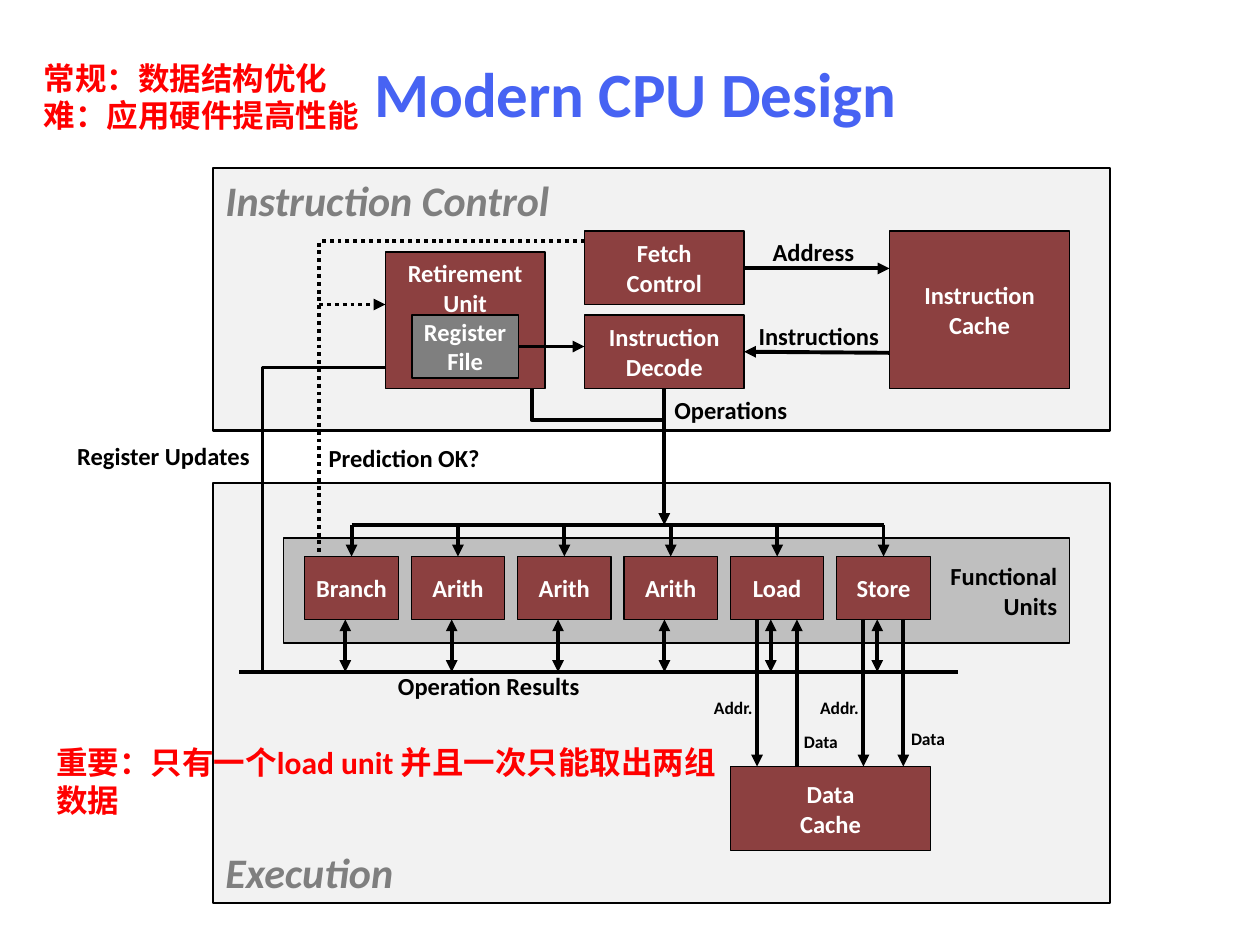
from pptx import Presentation
from pptx.dml.color import RGBColor
from pptx.enum import dml, shapes, text
from pptx.oxml import ns, xmlchemy as xc
from pptx.util import Pt

FONT = "Calibri"
BLACK, WHITE, RED = "000000", "FFFFFF", "FF0000"
BLUE, MAROON, GREY = "4763F3", "8C4040", "7F7F7F"
LEFT, CENTER, RIGHT = text.PP_ALIGN.LEFT, text.PP_ALIGN.CENTER, text.PP_ALIGN.RIGHT
TOP, MIDDLE, BOTTOM = (text.MSO_ANCHOR.TOP, text.MSO_ANCHOR.MIDDLE,
                       text.MSO_ANCHOR.BOTTOM)

# Areas: text, left, top, width, height, fill, line width, anchor, align, size, colour
AREAS = [
    ("Execution", 121.7, 276, 512.6, 240, "F2F2F2", 1.5, BOTTOM, LEFT, 24, GREY),
    ("Functional\nUnits", 162, 307.5, 449.3, 60, "BFBFBF", 0.75, MIDDLE, RIGHT, 14, BLACK),
    ("Instruction Control", 121.7, 96, 512.6, 150, "F2F2F2", 1.5, TOP, LEFT, 24, GREY),
]
# Blocks: text, left, top, width, height, fill, anchor
BLOCKS = [
    ("Instruction\nCache", 508.3, 132, 103, 90, MAROON, MIDDLE),
    ("Data\nCache", 417.6, 438, 114, 48, MAROON, MIDDLE),
    ("Fetch\nControl", 334, 132, 91.2, 42, MAROON, MIDDLE),
    ("Instruction\nDecode", 334, 180, 91.2, 42, MAROON, MIDDLE),
    ("Retirement\nUnit", 220.2, 144, 91.2, 78, MAROON, TOP),
    ("Register\nFile", 235.4, 180, 60.8, 36, GREY, MIDDLE),
]
UNITS = ["Branch", "Arith", "Arith", "Arith", "Load", "Store"]
UNIT_LEFT, UNIT_TOP, UNIT_W, UNIT_H, UNIT_PITCH = 174.2, 318, 53.4, 36, 60.8
DISPATCH_Y, RESULTS_Y, CACHE_Y = 300, 384, 438

# Labels: text, left, top, width, height, align, size
LABELS = [
    ("Address", 434.2, 132, 61.2, 24.5, CENTER, 14),
    ("Instructions", 426.2, 180, 83.5, 24.5, CENTER, 14),
    ("Operations", 378, 222, 79.2, 24.5, CENTER, 14),
    ("Prediction OK?", 180.7, 249.5, 101, 24.5, LEFT, 14),
    ("Operation Results", 220.3, 380, 118.8, 24.5, LEFT, 14),
    ("Register Updates", 36, 248.6, 113.8, 24.5, RIGHT, 14),
    ("Data", 513.4, 412.5, 33.8, 19.4, CENTER, 10),
    ("Data", 452.2, 414, 33.8, 19.4, CENTER, 10),
    ("Addr.", 400.3, 394.5, 37.4, 19.4, CENTER, 10),
    ("Addr.", 461, 394.5, 37.4, 19.4, CENTER, 10),
]
# Remarks: text, left, top, width, height
REMARKS = [
    ("常规：数据结构优化\n难：应用硬件提高性能", 18, 30, 209.5, 50.4),
    ("重要：只有一个load unit 并且一次只能取出两组数据", 25.2, 421, 399, 50.4),
]
# Bent lines: points, line width, dotted
BENT_LINES = [
    ([(334, 138), (182.4, 138), (182.4, 318)], 2.25, True),
    ([(220.2, 210), (150, 210), (150, 384)], 1.5, False),
    ([(379.6, 240), (303.8, 240), (303.8, 222)], 2.25, False),
]


def rgb(hex_colour):
    return RGBColor.from_string(hex_colour)


def write(shape, content, size, colour, align, anchor=TOP, wrap=False, italic=False):
    tf = shape.text_frame
    tf.text = content
    tf.word_wrap = wrap
    tf.vertical_anchor = anchor
    for p in tf.paragraphs:
        p.alignment = align
        for r in p.runs:
            f = r.font
            f.name, f.size, f.bold, f.italic = FONT, Pt(size), True, italic
            f.color.rgb = rgb(colour)


def style_line(line, width, dotted=False):
    line.color.rgb = rgb(BLACK)
    line.width = Pt(width)
    if dotted:
        line.dash_style = dml.MSO_LINE.ROUND_DOT


def add_box(s, content, left, top, width, height, fill, line_width=0.75,
            anchor=MIDDLE, align=CENTER, size=14, colour=WHITE):
    box = s.shapes.add_shape(shapes.MSO_SHAPE.RECTANGLE,
                             Pt(left), Pt(top), Pt(width), Pt(height))
    box.shadow.inherit = False
    box.fill.solid()
    box.fill.fore_color.rgb = rgb(fill)
    style_line(box.line, line_width)
    write(box, content, size, colour, align, anchor, italic=size == 24)
    return box


def add_text(s, content, left, top, width, height, align, size, colour, wrap=False):
    box = s.shapes.add_textbox(Pt(left), Pt(top), Pt(width), Pt(height))
    write(box, content, size, colour, align, wrap=wrap)
    box.text_frame.auto_size = text.MSO_AUTO_SIZE.SHAPE_TO_FIT_TEXT


def add_line(s, x1, y1, x2, y2, ends=("tailEnd",), dotted=False):
    """Draw a straight line; ends names the ends that carry an arrowhead."""
    line = s.shapes.add_connector(shapes.MSO_CONNECTOR.STRAIGHT,
                                  Pt(x1), Pt(y1), Pt(x2), Pt(y2))
    style_line(line.line, 2.25, dotted)
    ln = line.line._get_or_add_ln()
    for end in ends:
        ln.append(xc.OxmlElement("a:" + end))
        ln[-1].set("type", "triangle")
    line._element.spPr.append(xc.OxmlElement("a:effectLst"))
    return line


def add_bent_line(s, points, width, dotted):
    start, *rest = [(Pt(x), Pt(y)) for x, y in points]
    builder = s.shapes.build_freeform(*start)
    builder.add_line_segments(rest, close=False)
    shape = builder.convert_to_shape()
    shape.shadow.inherit = False
    shape.fill.background()
    style_line(shape.line, width, dotted)


def add_units(s):
    """Draw the functional units with their dispatch, result and cache arrows."""
    lefts = [UNIT_LEFT + i * UNIT_PITCH for i in range(len(UNITS))]
    bottom = UNIT_TOP + UNIT_H
    for name, left in zip(UNITS, lefts):
        unit = add_box(s, name, left, UNIT_TOP, UNIT_W, UNIT_H, MAROON)
        middle = left + UNIT_W / 2
        add_line(s, middle, DISPATCH_Y, middle, UNIT_TOP).end_connect(unit, 0)
        add_line(s, middle - 3.6, bottom, middle - 3.6, RESULTS_Y, ("headEnd", "tailEnd"))
        if name in ("Load", "Store"):
            add_line(s, left + 15.2, bottom, left + 15.2, CACHE_Y)
            data_ends = (CACHE_Y, bottom) if name == "Load" else (bottom, CACHE_Y)
            add_line(s, left + 38, data_ends[0], left + 38, data_ends[1])
    add_line(s, lefts[0] + UNIT_W / 2, DISPATCH_Y, lefts[-1] + UNIT_W / 2, DISPATCH_Y, ())
    add_line(s, 136.8, RESULTS_Y, 547.2, RESULTS_Y, ())


def main():
    prs = Presentation()
    prs.slide_width, prs.slide_height = Pt(720), Pt(540)
    s = prs.slides.add_slide(prs.slide_layouts[5])

    title = s.shapes.title
    title.left, title.top, title.width, title.height = Pt(132.5), Pt(30), Pt(461.5), Pt(45.4)
    write(title, "Modern CPU Design", 36, BLUE, CENTER, MIDDLE, wrap=True)
    title.text_frame.auto_size = text.MSO_AUTO_SIZE.NONE

    for area in AREAS:
        add_box(s, *area)
    blocks = {}
    for name, left, top, width, height, fill, anchor in BLOCKS:
        blocks[name] = add_box(s, name, left, top, width, height, fill, anchor=anchor)
    add_units(s)

    add_line(s, 425.2, 153.4, 508.3, 153.4)
    add_line(s, 508.3, 201.6, 425.2, 201.6).end_connect(blocks["Instruction\nDecode"], 3)
    add_line(s, 379.6, 222, 379.6, DISPATCH_Y).begin_connect(blocks["Instruction\nDecode"], 2)
    add_line(s, 296.2, 198, 334, 198).begin_connect(blocks["Register\nFile"], 3)
    add_line(s, 182.4, 174, 220.2, 174, dotted=True)
    for bent in BENT_LINES:
        add_bent_line(s, *bent)

    for label in LABELS:
        add_text(s, *label, BLACK)
    for remark in REMARKS:
        add_text(s, *remark, LEFT, 18, RED, wrap=True)
    prs.save("out.pptx")


if __name__ == "__main__":
    main()
